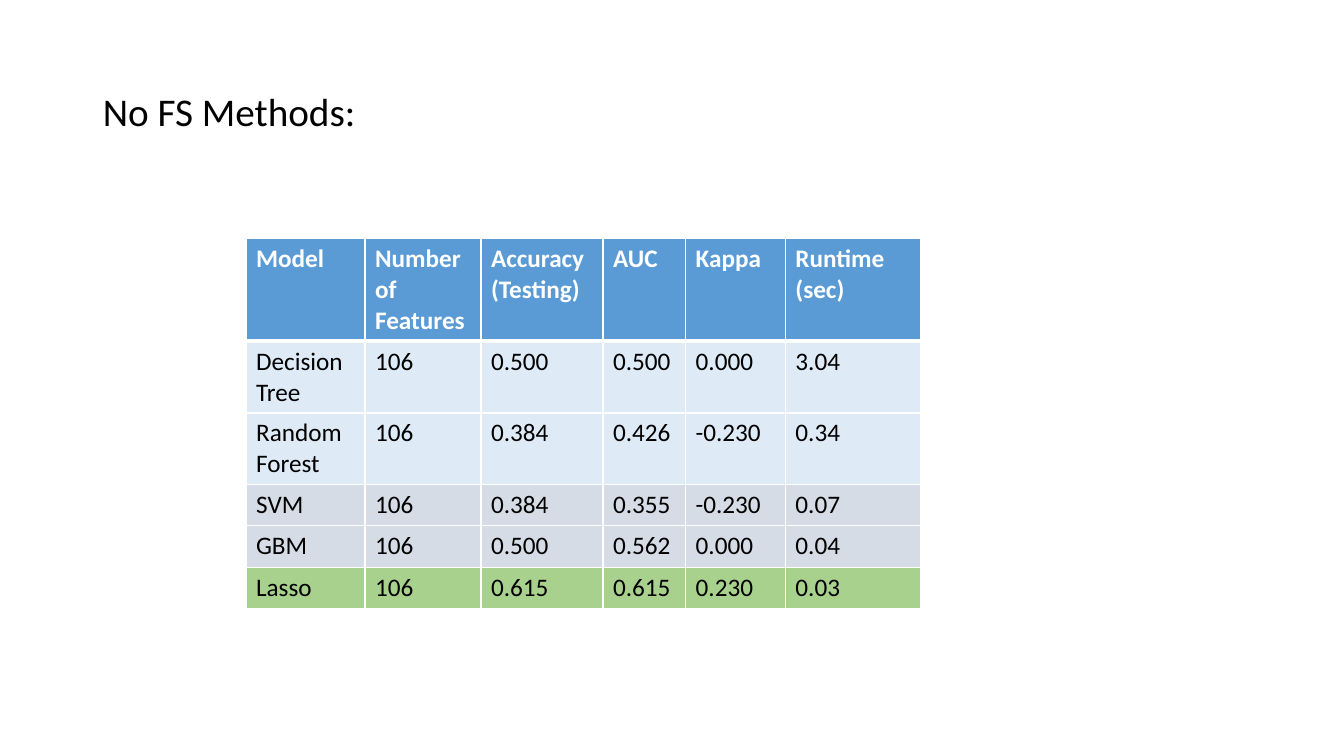
from lxml.etree import SubElement as Sub
from pptx import Presentation
from pptx.dml.color import RGBColor as RGB
from pptx.enum.text import MSO_ANCHOR as Anchor, MSO_AUTO_SIZE as Fit, PP_ALIGN as Align
from pptx.oxml.ns import qn
from pptx.util import Inches, Pt

FACE = "Calibri"
BLACK = RGB(0x00, 0x00, 0x00)
WHITE = RGB(0xFF, 0xFF, 0xFF)
BLUE = RGB(0x5B, 0x9B, 0xD5)
PALE = RGB(0xDE, 0xEB, 0xF7)
GREY = RGB(0xD6, 0xDC, 0xE5)
GREEN = RGB(0xA9, 0xD1, 0x8E)

HEAD = ("Model", "Number of Features", "Accuracy (Testing)", "AUC", "Kappa", "Runtime (sec)")
MODELS = [
    (PALE, ("Decision Tree", "106", "0.500", "0.500", "0.000", "3.04")),
    (PALE, ("Random Forest", "106", "0.384", "0.426", "-0.230", "0.34")),
    (GREY, ("SVM", "106", "0.384", "0.355", "-0.230", "0.07")),
    (GREY, ("GBM", "106", "0.500", "0.562", "0.000", "0.04")),
    (GREEN, ("Lasso", "106", "0.615", "0.615", "0.230", "0.03")),
]
WIDTHS = (1.18, 1.15, 1.21, 0.82, 0.99, 1.34)
HEIGHTS = (1.01, 0.71, 0.71, 0.41, 0.41, 0.41)


def set_font(para, size, color, bold=False):
    font = para.font
    font.name = FACE
    font.size = Pt(size)
    font.bold = bold
    font.color.rgb = color


def add_title(slide, text):
    title = slide.shapes.title
    title.left, title.top = Inches(0.92), Inches(0.4)
    title.width, title.height = Inches(11.5), Inches(1.45)
    frame = title.text_frame
    frame.text = text
    frame.auto_size = Fit.NONE
    frame.vertical_anchor = Anchor.MIDDLE
    para = frame.paragraphs[0]
    para.alignment = Align.LEFT
    para.line_spacing = 0.9
    set_font(para, 28, BLACK)


def add_edges(cell, top, bottom):
    props = cell._tc.get_or_add_tcPr()
    for side, width in (("L", 1), ("R", 1), ("T", top), ("B", bottom)):
        line = Sub(props, qn(f"a:ln{side}"), w=str(Pt(width)))
        fill = Sub(line, qn("a:solidFill"))
        Sub(fill, qn("a:srgbClr"), val=str(WHITE))


def add_grid(slide):
    rows = [(BLUE, HEAD)] + MODELS
    frame = slide.shapes.add_table(
        len(rows), len(HEAD), Inches(2.44), Inches(2.37),
        Inches(sum(WIDTHS)), Inches(sum(HEIGHTS)))
    table = frame.table
    for col, width in zip(table.columns, WIDTHS):
        col.width = Inches(width)
    for i, (color, texts) in enumerate(rows):
        table.rows[i].height = Inches(HEIGHTS[i])
        head = i == 0
        for j, text in enumerate(texts):
            cell = table.cell(i, j)
            cell.text = text
            add_edges(cell, 3 if i == 1 else 1, 3 if head else 1)
            cell.fill.solid()
            cell.fill.fore_color.rgb = color
            set_font(cell.text_frame.paragraphs[0], 18, WHITE if head else BLACK, head)


def main():
    deck = Presentation()
    deck.slide_width, deck.slide_height = Inches(13.33), Inches(7.5)
    slide = deck.slides.add_slide(deck.slide_layouts[5])
    add_title(slide, "No FS Methods:")
    add_grid(slide)
    deck.save("out.pptx")


if __name__ == "__main__":
    main()
